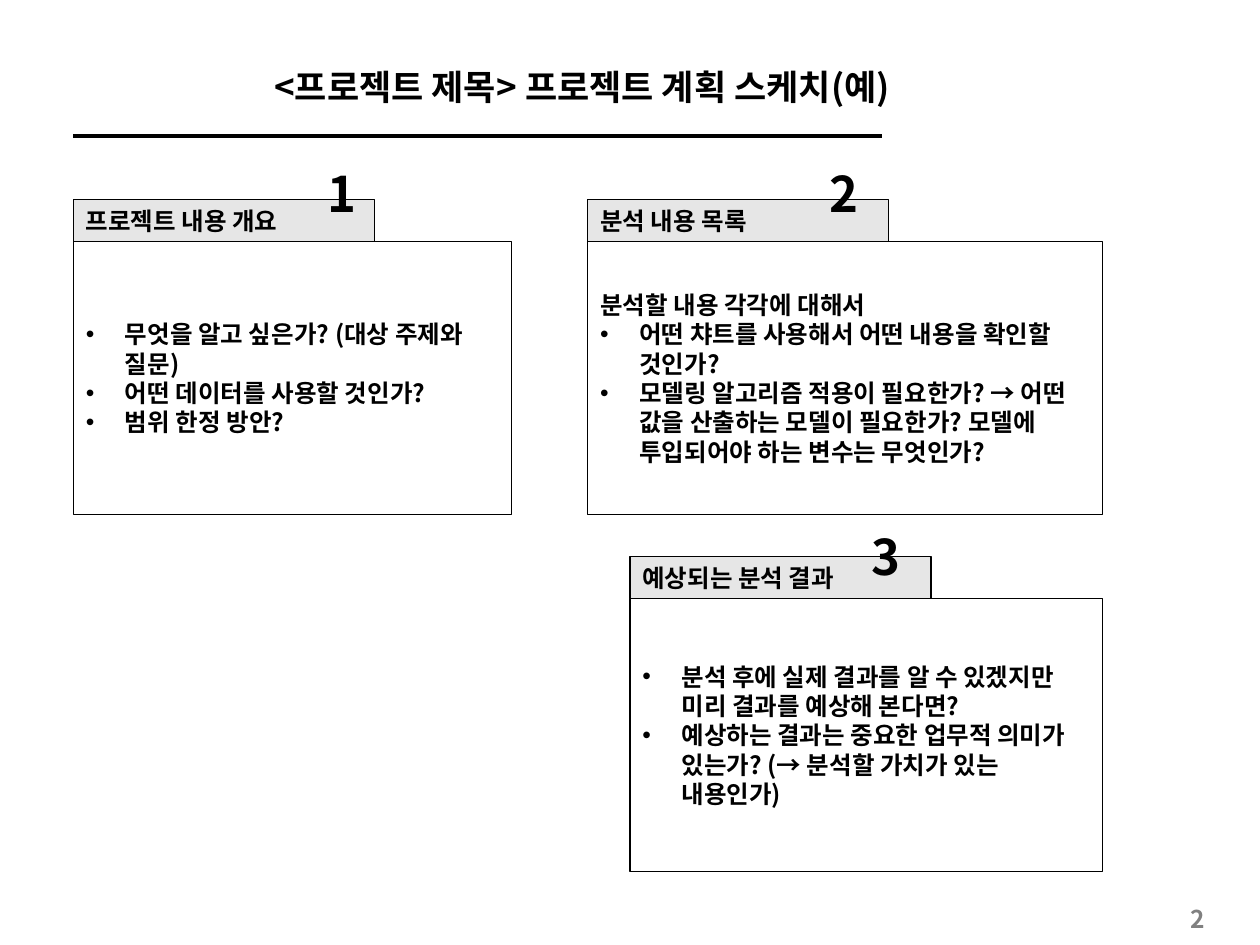
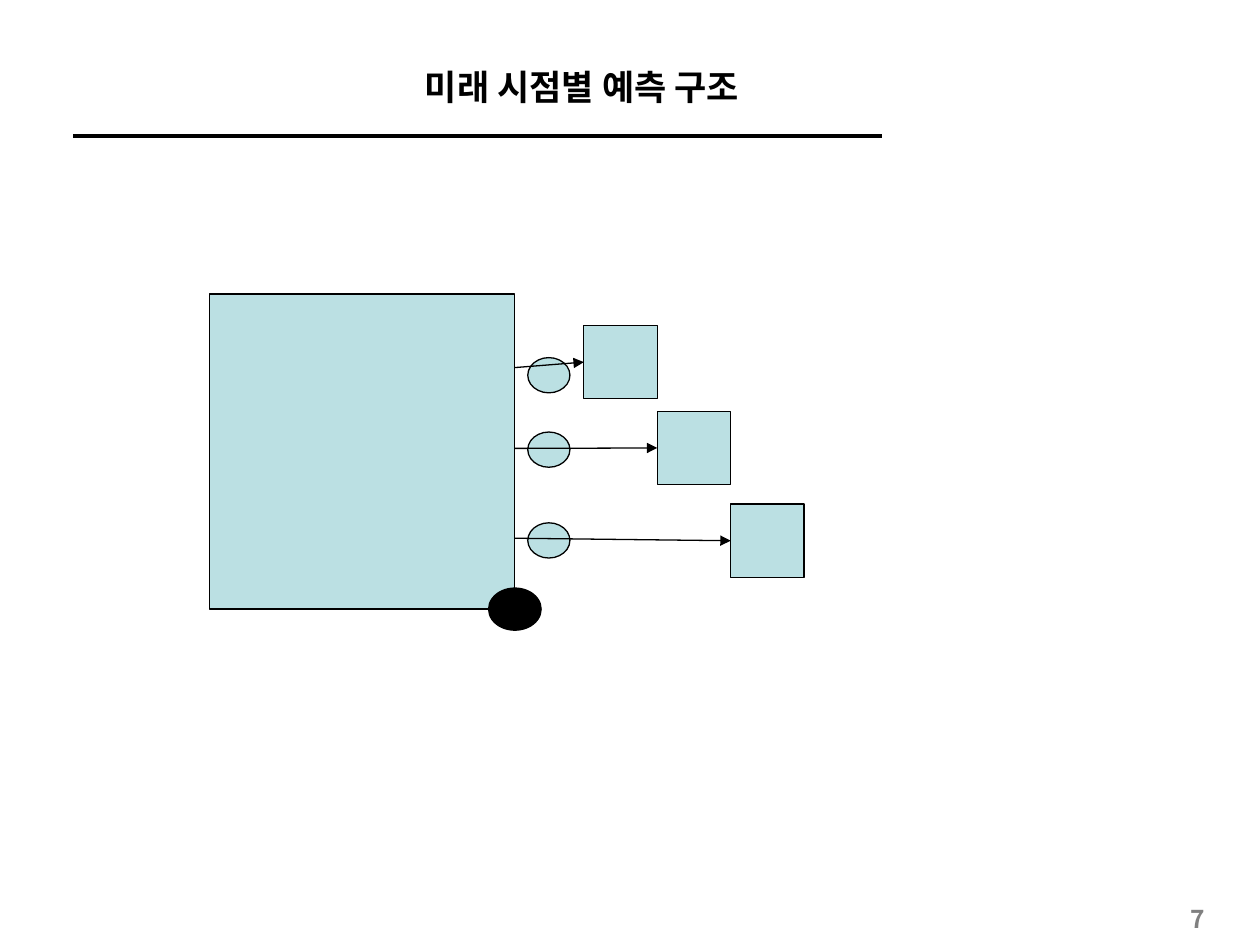
from dataclasses import dataclass

from lxml import etree
from pptx import Presentation
from pptx.dml.color import RGBColor
from pptx.enum.shapes import MSO_CONNECTOR, MSO_SHAPE
from pptx.enum.text import MSO_ANCHOR, MSO_AUTO_SIZE, PP_ALIGN
from pptx.oxml.ns import qn
from pptx.util import Cm, Pt

RECTANGLE, ELLIPSE = MSO_SHAPE.RECTANGLE, MSO_SHAPE.OVAL
STRAIGHT = MSO_CONNECTOR.STRAIGHT
LEFT, CENTER, RIGHT = PP_ALIGN.LEFT, PP_ALIGN.CENTER, PP_ALIGN.RIGHT
TOP, MIDDLE = MSO_ANCHOR.TOP, MSO_ANCHOR.MIDDLE
FIT_SHAPE = MSO_AUTO_SIZE.SHAPE_TO_FIT_TEXT


@dataclass(frozen=True)
class Theme:
    """Colours, font, type sizes and line widths of the presentation."""
    font: str = "Noto Sans CJK KR"
    ink: str = "000000"
    paper: str = "FFFFFF"
    tab: str = "E6E6E6"
    block: str = "BBE0E3"
    page: str = "808080"
    title_size: float = 20
    body_size: float = 14
    badge_size: float = 28
    outline: float = 0.75
    rule: float = 2.25


THEME = Theme()


def rgb(code):
    """Turn a hex code into a colour."""
    return RGBColor.from_string(code)


def add_bullet(paragraph):
    """Give a paragraph a hanging round bullet."""
    properties = paragraph._p.get_or_add_pPr()
    properties.set("marL", str(Cm(0.79)))
    properties.set("indent", str(-Cm(0.79)))
    etree.SubElement(properties, qn("a:buFont"), typeface="Arial")
    etree.SubElement(properties, qn("a:buChar"), char="•")


def style_paragraph(paragraph, size, color, align):
    """Set alignment and the bold font for Latin and Korean text."""
    paragraph.alignment = align
    font = paragraph.font
    font.size, font.bold, font.name = Pt(size), True, THEME.font
    font.color.rgb = rgb(color)
    defaults = paragraph._p.pPr.find(qn("a:defRPr"))
    etree.SubElement(defaults, qn("a:ea"), typeface=THEME.font)


def write(frame, lines, size=THEME.body_size, color=THEME.ink, align=LEFT,
          anchor=MIDDLE, bullets_from=None):
    """Write lines into a frame, bulleted from the given index on."""
    frame.word_wrap = True
    frame.vertical_anchor = anchor
    for index, line in enumerate(lines):
        paragraph = frame.paragraphs[0] if index == 0 else frame.add_paragraph()
        paragraph.text = line
        if bullets_from is not None and index >= bullets_from:
            add_bullet(paragraph)
        style_paragraph(paragraph, size, color, align)


def add_label(slide, left, top, width, height, text, **style):
    """Add a text box with one line and return its frame."""
    frame = slide.shapes.add_textbox(
        Cm(left), Cm(top), Cm(width), Cm(height)).text_frame
    write(frame, [text], **style)
    return frame


def add_block(slide, kind, left, top, width, height, fill):
    """Add a filled, thinly outlined shape."""
    block = slide.shapes.add_shape(
        kind, Cm(left), Cm(top), Cm(width), Cm(height))
    block.shadow.inherit = False
    block.fill.solid()
    block.fill.fore_color.rgb = rgb(fill)
    block.line.color.rgb = rgb(THEME.ink)
    block.line.width = Pt(THEME.outline)
    return block


def add_line(slide, start, end, width, arrow=False):
    """Draw a straight line, with an arrowhead at its end on request."""
    line = slide.shapes.add_connector(
        STRAIGHT, *(Cm(value) for value in (*start, *end)))
    line.line.color.rgb = rgb(THEME.ink)
    line.line.width = Pt(width)
    if arrow:
        etree.SubElement(line.line._get_or_add_ln(), qn("a:tailEnd"),
                         type="triangle")
    etree.SubElement(line._element.spPr, qn("a:effectLst"))


def add_base_slide(presentation, title, page):
    """Add a blank slide with rule, title and page number."""
    slide = presentation.slides.add_slide(presentation.slide_layouts[6])
    add_line(slide, (1.48, 2.74), (17.78, 2.74), THEME.rule)
    add_label(slide, 2.11, 0.76, 19.25, 1.98, title,
              size=THEME.title_size, align=CENTER)
    add_label(slide, 22.43, 18.2, 2.12, 0.64, page,
              color=THEME.page, align=RIGHT)
    return slide


def add_panel(slide, number, left, top, width, heading, lines, badge,
              bullets_from=0):
    """Add a numbered panel: heading tab, body box and number."""
    tab_height = 0.85
    tab = add_block(slide, RECTANGLE, left, top, 6.07, tab_height, THEME.tab)
    write(tab.text_frame, [heading])
    body = add_block(slide, RECTANGLE, left, top + tab_height, width, 5.5,
                     THEME.paper)
    write(body.text_frame, lines, bullets_from=bullets_from)
    frame = add_label(slide, *badge, 1.09, 1.45, str(number),
                      size=THEME.badge_size, anchor=TOP)
    frame.word_wrap = False
    frame.auto_size = FIT_SHAPE


def build_plan(presentation):
    """Build the project plan slide."""
    slide = add_base_slide(
        presentation, "<프로젝트 제목> 프로젝트 계획 스케치(예)", "2")
    add_panel(slide, 1, 1.48, 4.02, 8.84, "프로젝트 내용 개요", [
        "무엇을 알고 싶은가? (대상 주제와 질문)",
        "어떤 데이터를 사용할 것인가?",
        "범위 한정 방안?",
    ], badge=(6.35, 3.18))
    add_panel(slide, 2, 11.85, 4.02, 10.37, "분석 내용 목록", [
        "분석할 내용 각각에 대해서",
        "어떤 챠트를 사용해서 어떤 내용을 확인할 것인가?",
        "모델링 알고리즘 적용이 필요한가? → 어떤 값을 산출하는 모델이 "
        "필요한가? 모델에 투입되어야 하는 변수는 무엇인가?",
    ], badge=(16.48, 3.18), bullets_from=1)
    add_panel(slide, 3, 12.7, 11.22, 9.52, "예상되는 분석 결과", [
        "분석 후에 실제 결과를 알 수 있겠지만 미리 결과를 예상해 본다면?",
        "예상하는 결과는 중요한 업무적 의미가 있는가? "
        "(→ 분석할 가치가 있는 내용인가)",
    ], badge=(17.32, 10.49))


def build_forecast(presentation):
    """Build the slide of forecasts by future time point."""
    slide = add_base_slide(presentation, "미래 시점별 예측 구조", "7")
    left, top, width, height = 4.23, 5.93, 6.15, 6.35
    right, bottom = left + width, top + height
    add_block(slide, RECTANGLE, left, top, width, height, THEME.block)
    dot_width, dot_height = 1.06, 0.85
    add_block(slide, ELLIPSE, right - dot_width / 2, bottom - dot_height / 2,
              dot_width, dot_height, THEME.ink)
    target_size = 1.48
    rows = [(6.56, 7.21, 7.41), (8.29, 8.71, 9.04), (10.16, 10.54, 10.85)]
    for step, (target_top, model_top, start_y) in enumerate(rows):
        target_left = 11.77 + step * target_size
        add_block(slide, RECTANGLE, target_left, target_top,
                  target_size, target_size, THEME.block)
        add_block(slide, ELLIPSE, 10.64, model_top, 0.85, 0.71, THEME.block)
        add_line(slide, (right, start_y),
                 (target_left, target_top + target_size / 2),
                 THEME.outline, arrow=True)


def main():
    """Build and save the presentation."""
    presentation = Presentation()
    presentation.slide_width = Cm(25.4)
    presentation.slide_height = Cm(19.05)
    build_plan(presentation)
    build_forecast(presentation)
    presentation.save("out.pptx")


main()
